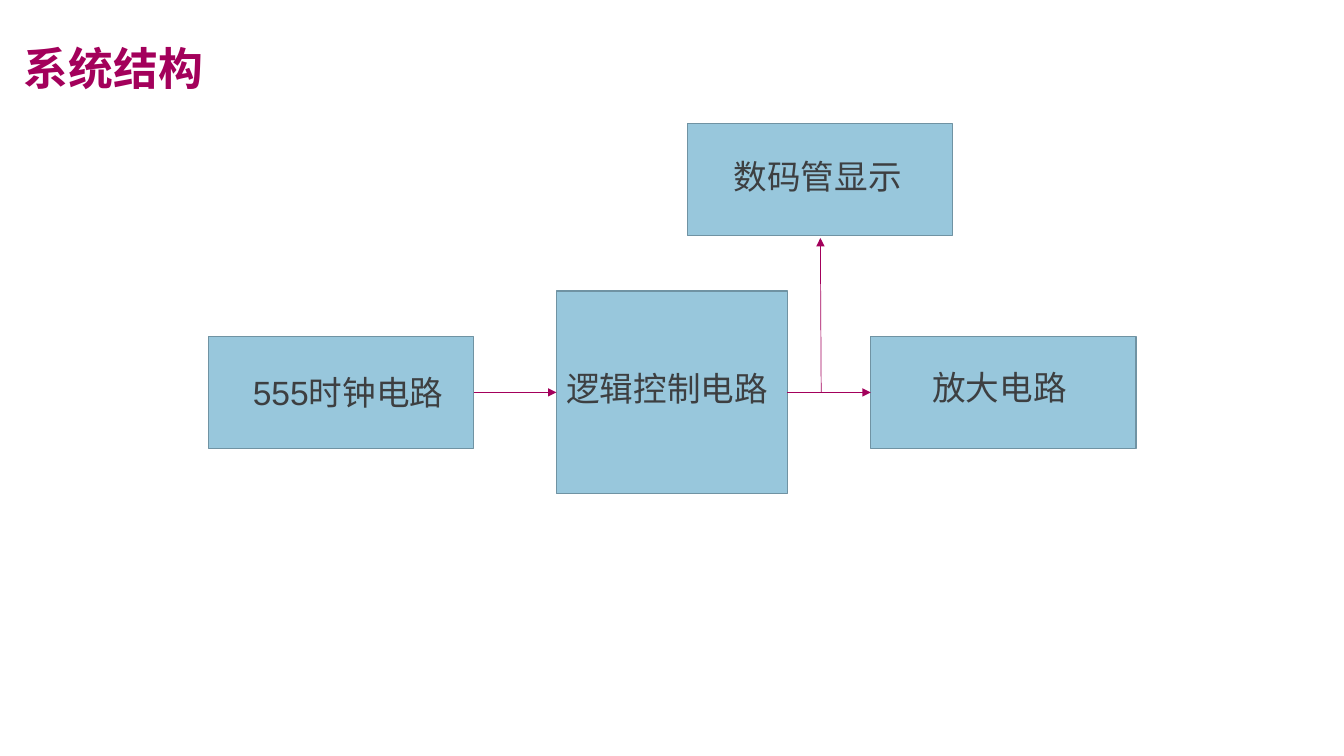
from pptx import Presentation
from pptx import util as u
from pptx.dml.color import RGBColor
from pptx.enum import shapes, text
from lxml import etree

Pt = u.Pt
PINK, BLUE, EDGE, GREY = "A3005B", "98C7DC", "7093A3", "3D3F41"
NS = "http://schemas.openxmlformats.org/drawingml/2006/main"
TITLE = "系统结构"
MID = 280.3
SMALL, LARGE = (189.4, 80), (165, 144.8)
LABEL = (165, 36)
blocks = [
    ("555时钟电路", 149, MID, SMALL, 173.5, 262),
    ("逻辑控制电路", 397.4, MID, LARGE, 397.4, 259.2),
    ("放大电路", 622, MID, SMALL, 658.8, 258.5),
    ("数码管显示", 491, 128.4, SMALL, 517, 108),
]


def color(code):
    return RGBColor.from_string(code)


def write(page, words, box, size, code, bold=False):
    frame = page.shapes.add_textbox(*map(Pt, box)).text_frame
    frame.word_wrap = True
    frame.text = words
    font = frame.paragraphs[0].runs[0].font
    font.name, font.size, font.bold = "Arial", Pt(size), bold
    font.color.rgb = color(code)
    return frame


def block(page, left, mid, size):
    wide, high = size
    box = page.shapes.add_shape(
        shapes.MSO_SHAPE.RECTANGLE, *map(Pt, (left, mid - high / 2, wide, high)))
    box.shadow.inherit = False
    box.fill.solid()
    box.fill.fore_color.rgb = color(BLUE)
    box.line.color.rgb = color(EDGE)
    box.line.width = Pt(1)


def arrow(page, *ends):
    link = page.shapes.add_connector(
        shapes.MSO_CONNECTOR.STRAIGHT, *map(Pt, ends))
    link.line.color.rgb = color(PINK)
    link.line.width = Pt(0.5)
    etree.SubElement(link.line._get_or_add_ln(), f"{{{NS}}}tailEnd", type="triangle")
    etree.SubElement(link._element.spPr, f"{{{NS}}}effectLst")


deck = Presentation()
deck.slide_width, deck.slide_height = Pt(960), Pt(540)
page = deck.slides.add_slide(deck.slide_layouts[6])

head = write(page, TITLE, (10, 10.8, 828, 80), 32, PINK, True)
head.vertical_anchor = text.MSO_ANCHOR.MIDDLE
head.paragraphs[0].line_spacing = 0.9

for words, left, mid, size, x, y in blocks:
    block(page, left, mid, size)
    write(page, words, (x, y, *LABEL), 24, GREY)

row = blocks[:3]
for a, b in zip(row, row[1:]):
    arrow(page, a[1] + a[3][0], MID, b[1], MID)
arrow(page, 586.6, MID, 586, 170)

deck.save("out.pptx")
